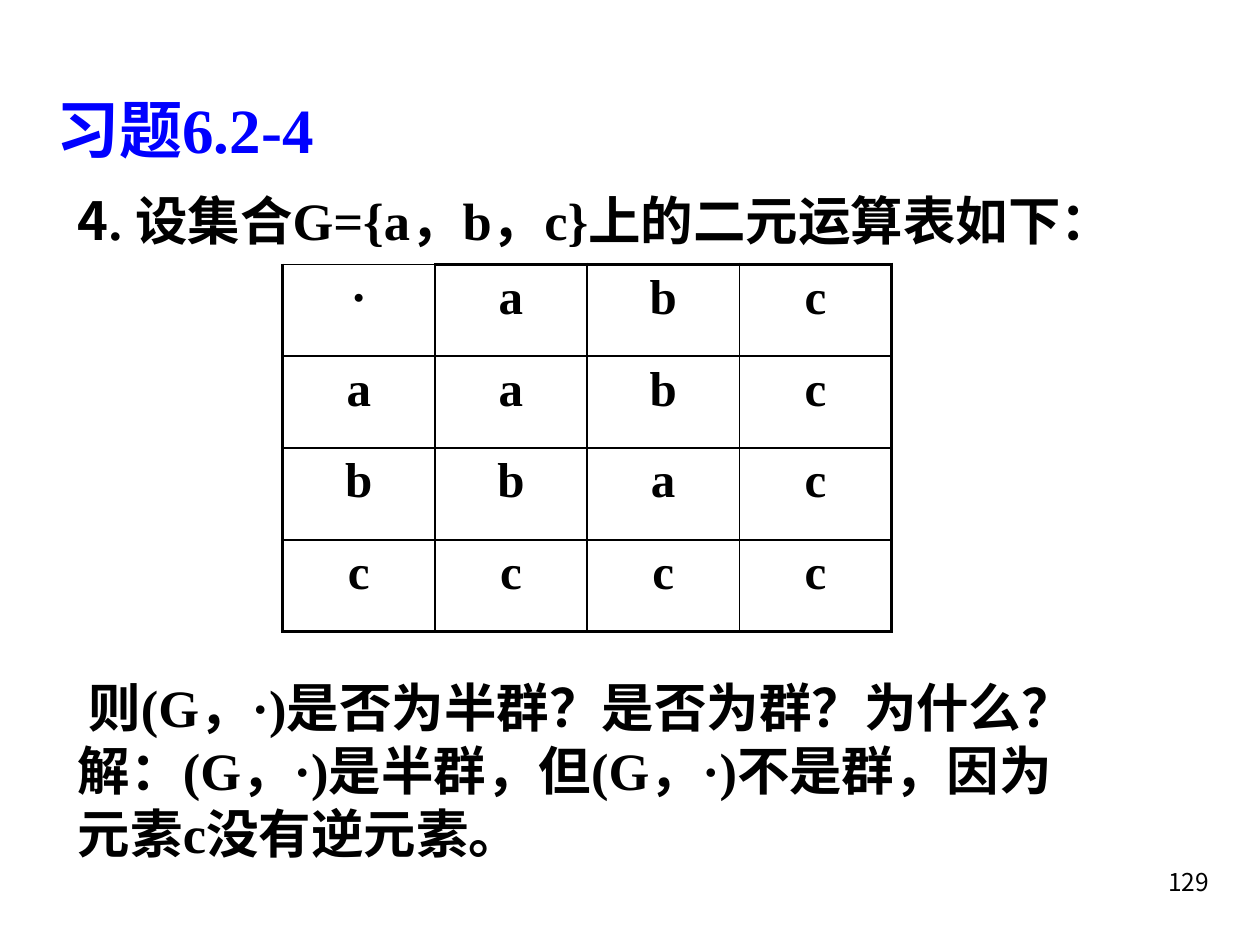
from pptx import Presentation
from pptx.dml.color import RGBColor
from pptx.enum.text import MSO_ANCHOR as Anchor, MSO_AUTO_SIZE as AutoSize, PP_ALIGN as Align
from pptx.oxml.ns import qn
from pptx.util import Pt
from lxml.etree import SubElement

# Content: a line is a list of (text, font key) runs
TITLE = "习题6.2-4"
QUESTION = [[("4", "cjk"), (". 设集合G={a，b，c}上的二元运算表如下：", "latin")]]
ANSWER = [
    [("则(G，·)是否为半群？是否为群？为什么？", "latin")],
    [("解：(G，·)是半群，但(G，·)不是群，因为", "latin")],
    [("元素c没有逆元素。", "latin")],
]
OPERATION_TABLE = ["·abc", "aabc", "bbac", "cccc"]
PAGE_NUMBER = "129"

THEME = {
    "latin": "Times New Roman", "cjk": "Noto Sans CJK SC", "page": "Noto Sans CJK KR",
    "title_color": "0000FF", "ink": "000000",
    "title_size": 36, "body_size": 30, "cell_size": 28, "page_size": 14,
    "thin": 1, "thick": 2.25,
}
LINE_PITCH = 36
BODY_LEFT, BODY_WIDTH = 44.5, 675
TABLE_LEFT, TABLE_TOP, COLUMN_WIDTH, ROW_HEIGHT = 161.5, 151, 87, 52.5


def write(frame, lines, size, color="ink", bold=True, align=Align.LEFT,
          pitch=None, first_indent=0):
    """Fill a text frame with lines, each a string or a list of runs."""
    frame.word_wrap = True
    for i, line in enumerate(lines):
        paragraph = frame.paragraphs[0] if i == 0 else frame.add_paragraph()
        paragraph.alignment = align
        if pitch:
            paragraph.line_spacing = Pt(pitch)
        if i == 0 and first_indent:
            paragraph._p.get_or_add_pPr().set("indent", str(Pt(first_indent)))
        for text, face in [(line, "latin")] if isinstance(line, str) else line:
            run = paragraph.add_run()
            run.text = text
            run.font.name = THEME[face]
            run.font.size = Pt(THEME[size])
            run.font.bold = bold
            run.font.color.rgb = RGBColor.from_string(THEME[color])
            east_asian = "page" if face == "page" else "cjk"
            SubElement(run._r.get_or_add_rPr(), qn("a:ea"), typeface=THEME[east_asian])


def add_text(slide, box, lines, size, inset=True, **style):
    frame = slide.shapes.add_textbox(*map(Pt, box)).text_frame
    if not inset:
        frame.margin_left = frame.margin_right = 0
        frame.margin_top = frame.margin_bottom = 0
    write(frame, lines, size, **style)


def set_borders(cell, widths):
    properties = cell._tc.get_or_add_tcPr()
    for position, (side, width) in enumerate(widths.items()):
        line = properties.makeelement(qn(f"a:ln{side}"), {"w": str(Pt(width))})
        fill = SubElement(line, qn("a:solidFill"))
        SubElement(fill, qn("a:srgbClr"), val=THEME["ink"])
        properties.insert(position, line)


def add_operation_table(slide):
    count = len(OPERATION_TABLE)
    table = slide.shapes.add_table(
        count, count, Pt(TABLE_LEFT), Pt(TABLE_TOP),
        Pt(COLUMN_WIDTH * count), Pt(ROW_HEIGHT * count)).table
    table.first_row = table.horz_banding = False
    for column in table.columns:
        column.width = Pt(COLUMN_WIDTH)
    thin, thick = THEME["thin"], THEME["thick"]
    last = count - 1
    for r, symbols in enumerate(OPERATION_TABLE):
        table.rows[r].height = Pt(ROW_HEIGHT)
        for c, symbol in enumerate(symbols):
            cell = table.cell(r, c)
            cell.fill.background()
            write(cell.text_frame, [symbol], "cell_size", align=Align.CENTER)
            # Thick outer frame, except above the operator cell
            set_borders(cell, {
                "L": thick if c == 0 else thin,
                "R": thick if c == last else thin,
                "T": thick if r == 0 and c > 0 else thin,
                "B": thick if r == last else thin,
            })


def main():
    deck = Presentation()
    deck.slide_width, deck.slide_height = Pt(720), Pt(540)
    slide = deck.slides.add_slide(deck.slide_layouts[5])

    # Title
    title = slide.shapes.title
    title.left, title.top, title.width, title.height = map(Pt, (25, 48, 612, 50.5))
    title.text_frame.auto_size = AutoSize.NONE
    title.text_frame.vertical_anchor = Anchor.MIDDLE
    write(title.text_frame, [TITLE], "title_size", color="title_color")

    # Question, operation table and answer
    add_text(slide, (BODY_LEFT, 107.5, BODY_WIDTH, LINE_PITCH), QUESTION,
             "body_size", inset=False, pitch=LINE_PITCH)
    add_operation_table(slide)
    add_text(slide, (BODY_LEFT, 386, BODY_WIDTH, LINE_PITCH * len(ANSWER)), ANSWER,
             "body_size", inset=False, pitch=LINE_PITCH, first_indent=6)

    # Page number
    add_text(slide, (548, 492, 150, 36), [[(PAGE_NUMBER, "page")]], "page_size",
             bold=False, align=Align.RIGHT)

    deck.save("out.pptx")


if __name__ == "__main__":
    main()
